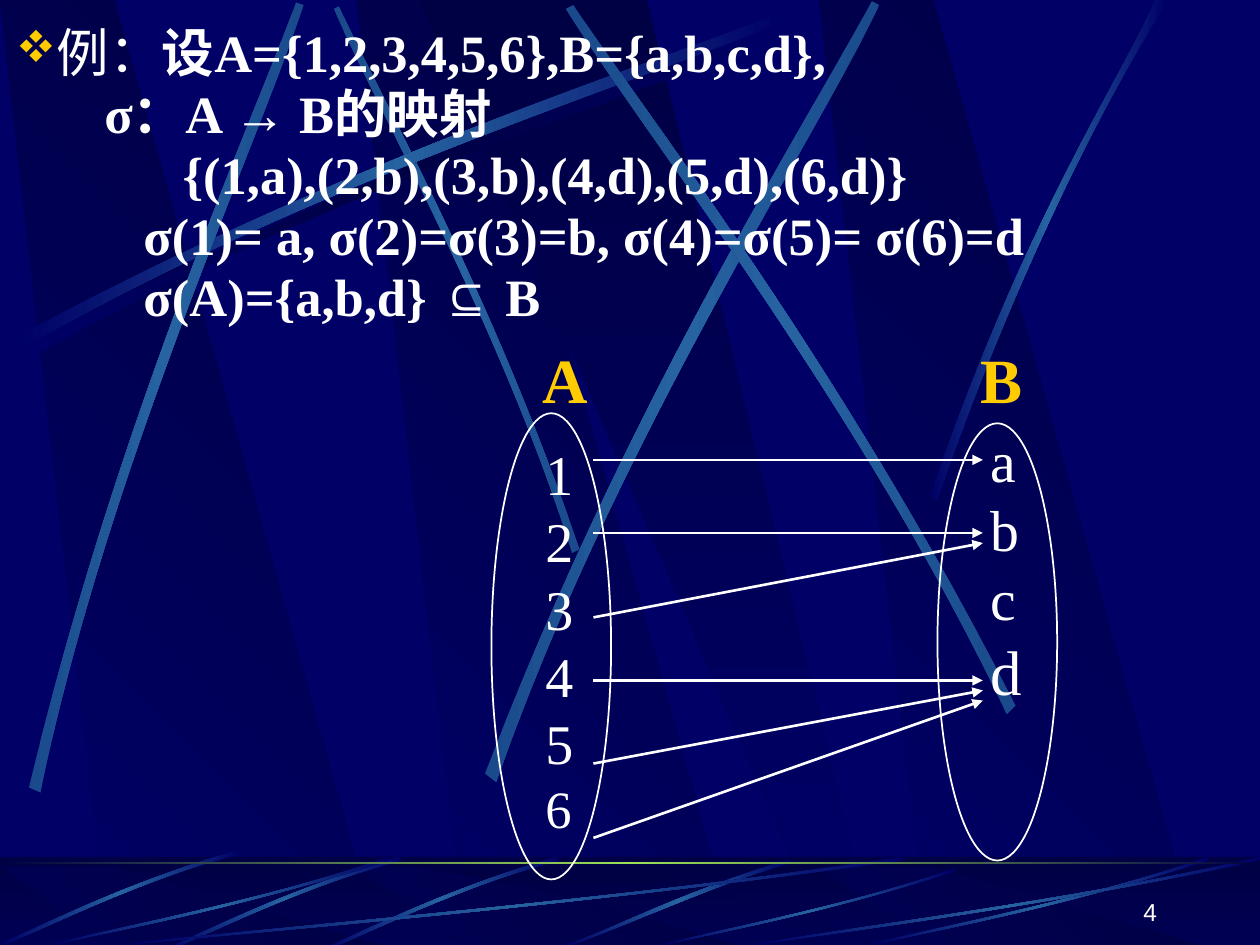
from lxml import etree
from pptx import Presentation
from pptx import util as u
from pptx.dml import color as dml
from pptx.enum import shapes, text
from pptx.oxml import ns

WHITE, GOLD = "FFFFFF", "FFCC00"
NAVY, DARK, BLUE, DIM = "000066", "000044", "2663A0", "1A4A8C"
FADE = (NAVY, BLUE, NAVY)
GLOW = (DIM, BLUE, DIM)
SERIF, SANS = "Times New Roman", "Arial"


def rgb(code):
    return dml.RGBColor.from_string(code)


def size(inch):
    return u.Cm(inch * 2.54)


def add(parent, tag, **attrs):
    return etree.SubElement(parent, ns.qn(tag), attrs)


def write(para, words, pt=30, font=SERIF, color=WHITE, bold=False):
    run = para.add_run()
    run.text = words
    run.font.size = u.Pt(pt)
    run.font.name = font
    run.font.bold = bold
    run.font.color.rgb = rgb(color)


def bend(lines):
    for trio in (lines[:3], lines[4:7]):
        arc = etree.Element(ns.qn("a:cubicBezTo"))
        trio[0].addprevious(arc)
        for line in trio:
            arc.append(line[0])
            line.getparent().remove(line)


def place(points, left, top, wide=1, high=1):
    return [(left + x * wide, top + y * high) for x, y in points]


class Deck:
    def __init__(self):
        self.prs = Presentation()
        self.prs.slide_width, self.prs.slide_height = size(10), size(7.5)
        self.slide = self.prs.slides.add_slide(self.prs.slide_layouts[6])
        self.shapes = self.slide.shapes
        fill = self.slide.background.fill
        fill.solid()
        fill.fore_color.rgb = rgb(NAVY)

    def blend(self, shape, colors, angle=0):
        shape.shadow.inherit = False
        shape.line.fill.background()
        shape.fill.gradient()
        shape.fill.gradient_angle = -angle % 360
        stops = shape._element.spPr.find(".//" + ns.qn("a:gsLst"))
        for old in list(stops):
            stops.remove(old)
        for i, code in enumerate(colors):
            stop = add(stops, "a:gs", pos=str(100000 * i // (len(colors) - 1)))
            add(stop, "a:srgbClr", val=code)

    def form(self, points, colors, angle=0):
        spots = [(size(x), size(y)) for x, y in points]
        pen = self.shapes.build_freeform(*spots[0], scale=1.0)
        pen.add_line_segments(spots[1:], close=True)
        item = pen.convert_to_shape()
        self.blend(item, colors, angle)
        return item

    def streak(self, points, colors=FADE):
        item = self.form(points, colors)
        bend(item._element.spPr.findall(".//" + ns.qn("a:lnTo")))

    def shape(self, kind, box):
        item = self.shapes.add_shape(kind, *map(size, box))
        item.shadow.inherit = False
        return item

    def band(self, box, colors, angle=0):
        self.blend(self.shape(shapes.MSO_SHAPE.RECTANGLE, box), colors, angle)

    def veil(self, box, color, alpha):
        item = self.shape(shapes.MSO_SHAPE.RECTANGLE, box)
        item.line.fill.background()
        item.fill.solid()
        item.fill.fore_color.rgb = rgb(color)
        tint = item._element.spPr.find(".//" + ns.qn("a:srgbClr"))
        add(tint, "a:alpha", val=str(alpha * 1000))

    def oval(self, box):
        item = self.shape(shapes.MSO_SHAPE.OVAL, box)
        item.fill.background()
        item.line.color.rgb = rgb(WHITE)
        item.line.width = u.Pt(1)

    def arrow(self, x, y, end, stop):
        item = self.shapes.add_connector(
            shapes.MSO_CONNECTOR.STRAIGHT, *map(size, (x, y, end, stop)))
        item.line.color.rgb = rgb(WHITE)
        item.line.width = u.Pt(1.5)
        add(item.line._get_or_add_ln(), "a:tailEnd", type="triangle")
        add(item._element.spPr, "a:effectLst")

    def frame(self, box, wrap=True):
        body = self.shapes.add_textbox(*map(size, box)).text_frame
        body.word_wrap = wrap
        return body

    def column(self, box, rows, **style):
        body = self.frame(box, wrap=False)
        for i, (words, pt) in enumerate(rows):
            para = body.add_paragraph() if i else body.paragraphs[0]
            para.line_spacing = u.Pt(pt * 1.2)
            write(para, words, pt, **style)

    def proof(self, box, rows):
        body = self.frame(box)
        for i, (left, runs) in enumerate(rows):
            para = body.add_paragraph() if i else body.paragraphs[0]
            para.alignment = text.PP_ALIGN.JUSTIFY
            para.line_spacing = 0.8
            props = para._p.get_or_add_pPr()
            props.set("marL", str(size(left)))
            if i:
                para.space_before = u.Pt(6)
                props.set("indent", "0")
            else:
                props.set("indent", str(size(-0.29)))
                add(add(props, "a:buClr"), "a:srgbClr", val=GOLD)
                add(props, "a:buSzPct", val="85000")
                add(props, "a:buFont", typeface="Wingdings", charset="2")
                add(props, "a:buChar", char="v")
            for words, bold in runs:
                write(para, words, bold=bold)

    def number(self, box, words):
        body = self.frame(box)
        body.vertical_anchor = text.MSO_ANCHOR.BOTTOM
        body.paragraphs[0].alignment = text.PP_ALIGN.RIGHT
        write(body.paragraphs[0], words, 14, SANS)


PANEL = [(0.285, 1), (1, 1), (0.3, 0), (0, 0)]
WEDGE = [(0, 0), (0.9, 1), (1, 1), (0.5, 0)]
BEAM = [(0, 2.57), (2.64, 1.15), (5.04, 0.41), (6.06, 0),
        (6.09, 0.06), (5.08, 0.51), (2.34, 1.33), (0.03, 2.67)]
SWEEP = [(1, 0.04), (0.57, 0.57), (0.17, 0.85), (0, 1),
         (0, 0.99), (0.17, 0.81), (0.62, 0.51), (1, 0)]
BLADE = [(1.86, 0), (0.99, 0.25), (0.31, 0.6), (0, 0.73),
         (0.01, 0.75), (0.32, 0.63), (1.09, 0.23), (1.88, 0.03)]
RAYS = [
    [(0.23, 6.25), (0.93, 3.34), (1.97, 1.05), (2.35, 0.02),
     (2.41, 0.04), (2.07, 1.09), (0.86, 3.68), (0.32, 6.29)],
    [(3.85, 6.14), (4.98, 3.2), (6.38, 1.02), (6.92, 0.01),
     (6.98, 0.04), (6.49, 1.08), (4.86, 3.55), (3.94, 6.21)],
    [(8.06, 5.6), (6.7, 2.93), (5.16, 0.95), (4.55, 0.04),
     (4.49, 0.07), (5.07, 1.01), (6.85, 3.25), (7.99, 5.67)],
]
THIN = [(4.6, 4.36), (3.91, 2.34), (3.02, 0.77), (2.69, 0.05),
        (2.65, 0.07), (2.95, 0.79), (3.98, 2.58), (4.54, 4.39)]
EDGE = [(7.38, 3.94), (8.14, 1.73), (8.88, 0.66), (9.17, 0),
        (9.27, 0), (8.36, 1.45), (7.69, 3.22), (7.44, 3.97)]
LOW = [(6.27, 6.82), (5.37, 7.09), (4.77, 7.42), (4.48, 7.5),
       (4.53, 7.5), (4.9, 7.38), (5.71, 7), (6.28, 6.85)]


def panels(deck, top, high):
    for left in (2.83, 0, 6.5):
        deck.form(place(PANEL, left, top, 3.02, high), (NAVY, DARK), 315)
    deck.form(place(WEDGE, 3.33, top, 3.61, high), (DARK, NAVY), 90)


def scene(deck):
    floor = (0, 6.8, 10, 0.7)
    panels(deck, 0, 7.5)
    deck.streak(place(BEAM, 0.2, 0.18), (NAVY, DARK, NAVY))
    deck.streak(THIN, GLOW)
    deck.streak(place(BEAM, 0.14, 0.1))
    for ray in RAYS:
        deck.streak(ray, GLOW)
    deck.streak(EDGE)
    deck.band(floor, (DARK, NAVY), 90)
    panels(deck, 6.88, 0.62)
    deck.veil(floor, DARK, 50)
    deck.streak(LOW)
    for left, top in ((2.56, 6.8), (1.31, 6.8), (0.02, 6.75)):
        deck.streak(place(BLADE, left, top))
    for left, top, wide in ((1, 6.8, 6.17), (0.42, 6.8, 2.67), (5.27, 6.89, 2.31),
                            (6.92, 6.8, 2.67), (6, 6.8, 4)):
        deck.streak(place(SWEEP, left, top, wide, 7.5 - top))
    deck.band((0, 6.84, 10, 0.02), (DARK, "9CE157", DARK))


def main():
    deck = Deck()
    scene(deck)
    deck.proof((0, 0.21, 9.61, 2.73), [
        (0.32, [("例：", False), ("设A={1,2,3,4,5,6},B={a,b,c,d},", True)]),
        (0.73, [("σ：A → B的映射", True)]),
        (1.35, [("{(1,a),(2,b),(3,b),(4,d),(5,d),(6,d)}", True)]),
        (1.04, [("σ(1)= a, σ(2)=σ(3)=b, σ(4)=σ(5)= σ(6)=d", True)]),
        (1.04, [("σ(A)={a,b,d} ⊆ B", True)]),
    ])
    deck.column((4.23, 3.44, 0.43, 3.3), [*((n, 32) for n in "12345"), ("6", 30)])
    deck.column((7.76, 3.32, 0.45, 2.37), [*((n, 33) for n in "abc"), ("d", 36)])
    for name, left, wide in (("A", 4.21, 0.56), ("B", 7.68, 0.53)):
        deck.column((left, 2.65, wide, 0.7), [(name, 36)], color=GOLD, bold=True)
    for start, stop in ((3.65, 3.65), (4.23, 4.23), (4.9, 4.31),
                        (5.4, 5.4), (6.06, 5.48), (6.65, 5.56)):
        deck.arrow(4.71, start, 7.8, stop)
    deck.oval((3.9, 3.28, 0.95, 3.7))
    deck.oval((7.44, 3.36, 0.95, 3.47))
    deck.number((7.2, 6.9, 2.08, 0.5), "4")
    deck.prs.save("out.pptx")


if __name__ == "__main__":
    main()
